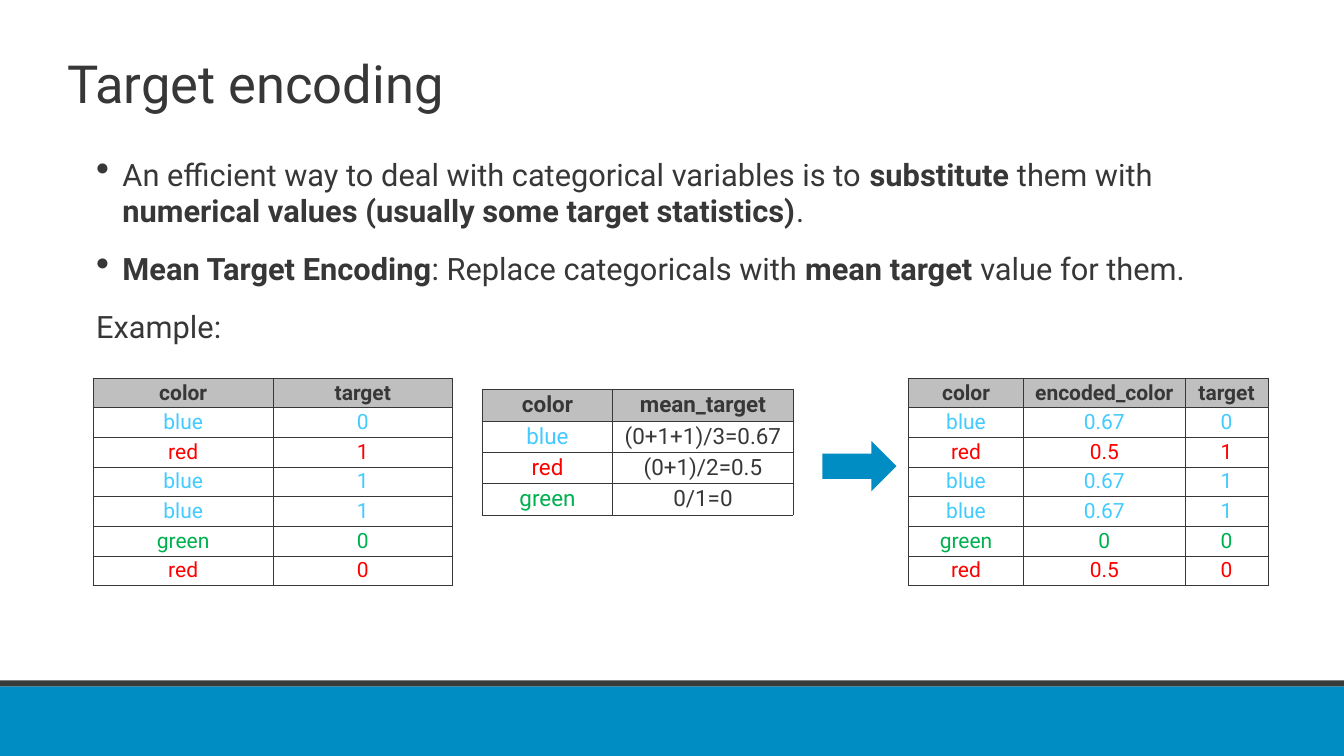
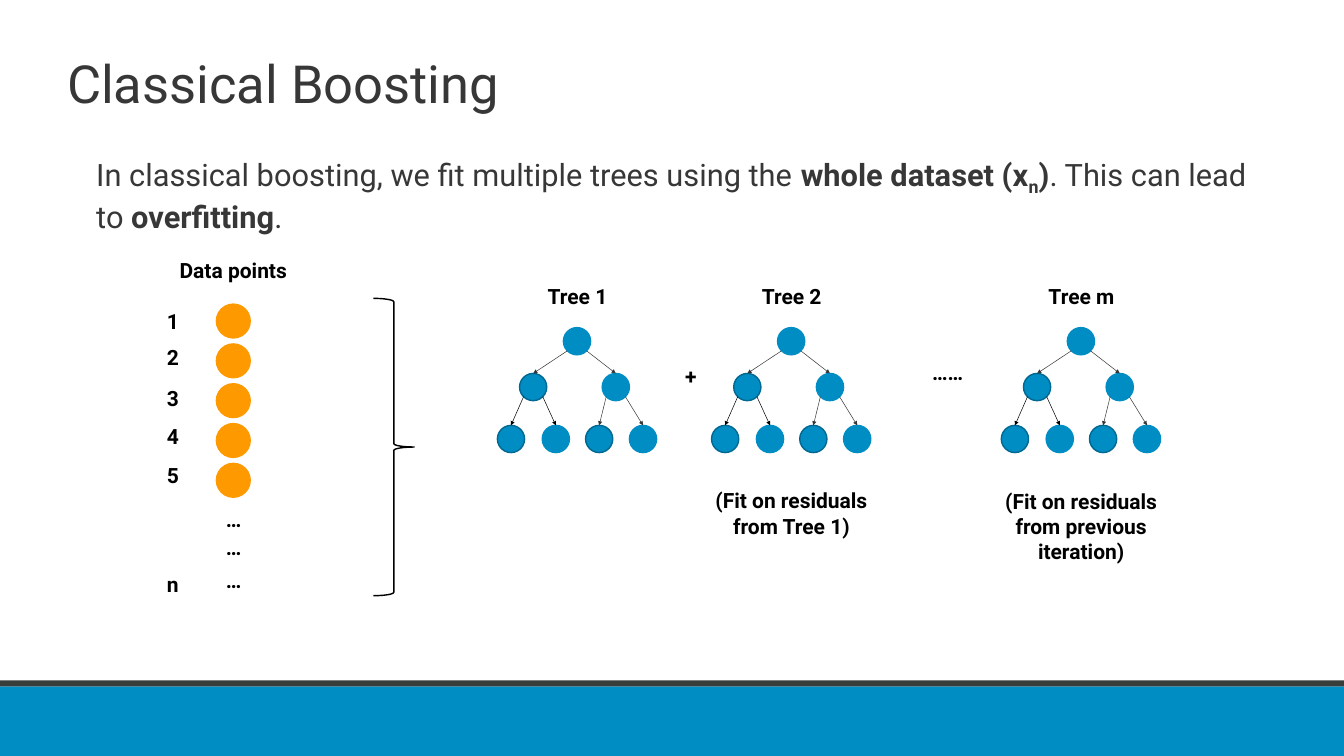
import lxml.etree
import pptx
import pptx.dml.color
import pptx.enum.shapes
import pptx.enum.text
import pptx.oxml.ns
import pptx.util

EMU_PER_PX = 9144
FONT = "Roboto"
BLUE, DARK_BLUE, ORANGE = "008DC4", "006891", "FF9900"
INK, BLACK, BAND_EDGE, HEADER_GREY = "373737", "000000", "383D3B", "BFBFBF"
CATEGORY_COLOURS = {"blue": "43CAFF", "red": "FF0000", "green": "00B050"}

rgb = pptx.dml.color.RGBColor.from_string
qn = pptx.oxml.ns.qn
SHAPE = pptx.enum.shapes.MSO_SHAPE
STRAIGHT = pptx.enum.shapes.MSO_CONNECTOR.STRAIGHT
ANCHOR = pptx.enum.text.MSO_ANCHOR
ALIGN = pptx.enum.text.PP_ALIGN
AUTO_SIZE = pptx.enum.text.MSO_AUTO_SIZE


def px(*lengths):
    return [pptx.util.Emu(length * EMU_PER_PX) for length in lengths]


def style(paragraph, size, colour, bold=False, align=ALIGN.CENTER):
    paragraph.alignment = align
    paragraph.font.name = FONT
    paragraph.font.size = pptx.util.Pt(size)
    paragraph.font.bold = bold
    paragraph.font.color.rgb = rgb(colour)


deck = pptx.Presentation()
deck.slide_width, deck.slide_height = px(2667, 1500)
title_only = deck.slide_layouts[5]
for footer in list(title_only.placeholders)[1:]:
    footer.element.getparent().remove(footer.element)

contents = [
    ("Target encoding", 970, [
        (True, [("An efficient way to deal with categorical variables is to ", False),
                ("substitute", True), (" them with ", False),
                ("numerical values (usually some target statistics)", True), (".", False)]),
        (True, [("Mean Target Encoding", True), (": Replace categoricals with ", False),
                ("mean target", True), (" value for them.", False)]),
        (False, [("Example:", False)]),
    ]),
    ("Classical Boosting", 806, [
        (False, [("In classical boosting, we fit multiple trees using the ", False),
                 ("whole dataset (x", True), ("n", True), (")", True),
                 (". This can lead to ", False), ("overfitting", True), (".", False)]),
    ]),
]

bodies = []
for heading, body_height, paragraphs in contents:
    slide = deck.slides.add_slide(title_only)
    title = slide.shapes.title
    title.left, title.top, title.width, title.height = px(127, 39, 2479, 250)
    title.text_frame.text = heading
    title.text_frame.vertical_anchor = ANCHOR.MIDDLE
    style(title.text_frame.paragraphs[0], 75, INK, align=ALIGN.LEFT)

    body = slide.shapes.add_textbox(*px(185, 302, 2297, body_height))
    body.text_frame.word_wrap = True
    bodies.append(body.text_frame)
    for frame in (title.text_frame, body.text_frame):
        frame.auto_size = AUTO_SIZE.NONE
        frame.margin_left, frame.margin_top, frame.margin_right, frame.margin_bottom = px(6, 6, 6, 6)

    for index, (bulleted, runs) in enumerate(paragraphs):
        paragraph = body.text_frame.add_paragraph() if index else body.text_frame.paragraphs[0]
        paragraph.space_before = pptx.util.Pt(30)
        if bulleted:
            properties = paragraph._p.get_or_add_pPr()
            indent, = px(52)
            properties.set("marL", str(indent))
            properties.set("indent", str(-indent))
            lxml.etree.SubElement(properties, qn("a:buSzPct"), val="125000")
            lxml.etree.SubElement(properties, qn("a:buChar"), char="•")
        style(paragraph, 44, INK, align=ALIGN.LEFT)
        for text, bold in runs:
            run = paragraph.add_run()
            run.text = text
            run.font.bold = bold

subscript = bodies[1].paragraphs[0].runs[2]
subscript.font._element.set("baseline", "-25000")

encoding, boosting = deck.slides
for bounds, colour in (((-5, 1362, 2676, 139), BLUE), ((-3, 1350, 2672, 12), BAND_EDGE)):
    band = encoding.shapes.add_shape(SHAPE.RECTANGLE, *px(*bounds))
    band.shadow.inherit = False
    band.fill.solid()
    band.fill.fore_color.rgb = rgb(colour)
    band.line.fill.background()
    title_only.shapes.element.append(band.element)

samples = [("blue", "0"), ("red", "1"), ("blue", "1"), ("blue", "1"), ("green", "0"), ("red", "0")]
encoded = {"blue": "0.67", "red": "0.5", "green": "0"}
means = [("blue", "(0+1+1)/3=0.67"), ("red", "(0+1)/2=0.5"), ("green", "0/1=0")]
encoded_samples = [(color, encoded[color], target) for color, target in samples]
tables = [
    (185, 750, 350, (357, 356), 30, 2, [("color", "target")] + samples),
    (957, 773, 248, (259, 358), 32, 1, [("color", "mean_target")] + means),
    (1803, 750, 350, (228, 321, 164), 30, 3,
     [("color", "encoded_color", "target")] + encoded_samples),
]
for left, top, height, widths, size, coloured_columns, rows in tables:
    bounds = px(left, top, sum(widths), height)
    table = encoding.shapes.add_table(len(rows), len(widths), *bounds).table
    table.first_row = table.horz_banding = False
    for column, width in zip(table.columns, px(*widths)):
        column.width = width
    for row_index, row in enumerate(rows):
        is_header = row_index == 0
        for column_index, text in enumerate(row):
            cell = table.cell(row_index, column_index)
            cell.text = text
            colour = INK
            if column_index < coloured_columns:
                colour = CATEGORY_COLOURS.get(row[0], INK)
            style(cell.text_frame.paragraphs[0], size, colour, bold=is_header)
            if is_header:
                cell.fill.solid()
                cell.fill.fore_color.rgb = rgb(HEADER_GREY)
            else:
                cell.fill.background()
            cell_properties = cell._tc.get_or_add_tcPr()
            for position, side in enumerate(("lnL", "lnR", "lnT", "lnB")):
                border = lxml.etree.Element(qn("a:" + side), w="12700")
                border_fill = lxml.etree.SubElement(border, qn("a:solidFill"))
                lxml.etree.SubElement(border_fill, qn("a:srgbClr"), val=INK)
                cell_properties.insert(position, border)

arrow = encoding.shapes.add_shape(SHAPE.RIGHT_ARROW, *px(1632, 875, 147, 100))
arrow.shadow.inherit = False
arrow.fill.solid()
arrow.fill.fore_color.rgb = rgb(BLUE)
arrow.line.fill.background()

NODE = 54
nodes = {
    "root": (131, 0, BLUE),
    "left": (44, 91, DARK_BLUE),
    "right": (208, 91, BLUE),
    "leaf 1": (0, 194, DARK_BLUE),
    "leaf 2": (89, 194, BLUE),
    "leaf 3": (175, 194, DARK_BLUE),
    "leaf 4": (262, 194, BLUE),
}
branches = [("root", "left", "right", INK), ("left", "leaf 1", "leaf 2", BLACK),
            ("right", "leaf 3", "leaf 4", INK)]
tree_top = 650
for tree_left in (987, 1412, 1987):
    tree = boosting.shapes.add_group_shape()
    drawn = {}
    for key, (x, y, outline) in nodes.items():
        node = tree.shapes.add_shape(SHAPE.OVAL, *px(tree_left + x, tree_top + y, NODE, NODE))
        node.shadow.inherit = False
        node.fill.solid()
        node.fill.fore_color.rgb = rgb(BLUE)
        node.line.color.rgb = rgb(outline)
        node.line.width = pptx.util.Pt(2)
        drawn[key] = node
    for parent, left_child, right_child, colour in branches:
        x, y, _ = nodes[parent]
        for child, side in ((left_child, 8), (right_child, 46)):
            start = px(tree_left + x + side, tree_top + y + 46)
            branch = tree.shapes.add_connector(STRAIGHT, *start, *start)
            branch.end_connect(drawn[child], 0)
            branch.line.color.rgb = rgb(colour)
            branch.line.width = pptx.util.Pt(0.75)
            lxml.etree.SubElement(branch.line._get_or_add_ln(), qn("a:tailEnd"), type="triangle")
            lxml.etree.SubElement(branch.element.spPr, qn("a:effectLst"))

for index in range(5):
    point = boosting.shapes.add_shape(SHAPE.OVAL, *px(428, 602 + 79 * index, 70, 70))
    point.shadow.inherit = False
    point.fill.solid()
    point.fill.fore_color.rgb = rgb(ORANGE)
    point.line.fill.background()

brace = boosting.shapes.add_shape(SHAPE.RIGHT_BRACE, *px(741, 592, 81, 590))
brace.shadow.inherit = False
brace.fill.background()
brace.line.color.rgb = rgb(BLACK)
brace.line.width = pptx.util.Pt(2)

captions = [
    ("Data points", 325, 504, 276, 62),
    ("Tree 1", 1014, 557, 264, 62),
    ("Tree 2", 1439, 557, 264, 62),
    ("Tree m", 2014, 557, 264, 62),
    ("+", 1303, 715, 136, 62),
    ("……", 1757, 707, 247, 62),
    ("(Fit on residuals from Tree 1)", 1398, 962, 345, 112),
    ("(Fit on residuals from previous iteration)", 1947, 963, 397, 163),
]
captions += [("…", 340, top, 247, 62) for top in (998, 1055, 1120)]
captions += [(number, 289, top, 108, 62)
             for number, top in zip("12345n", (606, 677, 758, 835, 912, 1127))]
for text, *bounds in captions:
    caption = boosting.shapes.add_textbox(*px(*bounds))
    frame = caption.text_frame
    frame.word_wrap = True
    frame.auto_size = AUTO_SIZE.SHAPE_TO_FIT_TEXT
    frame.vertical_anchor = ANCHOR.MIDDLE
    frame.margin_left, frame.margin_top, frame.margin_right, frame.margin_bottom = px(6, 6, 6, 6)
    frame.text = text
    style(frame.paragraphs[0], 30, BLACK, bold=True)

deck.save("out.pptx")
